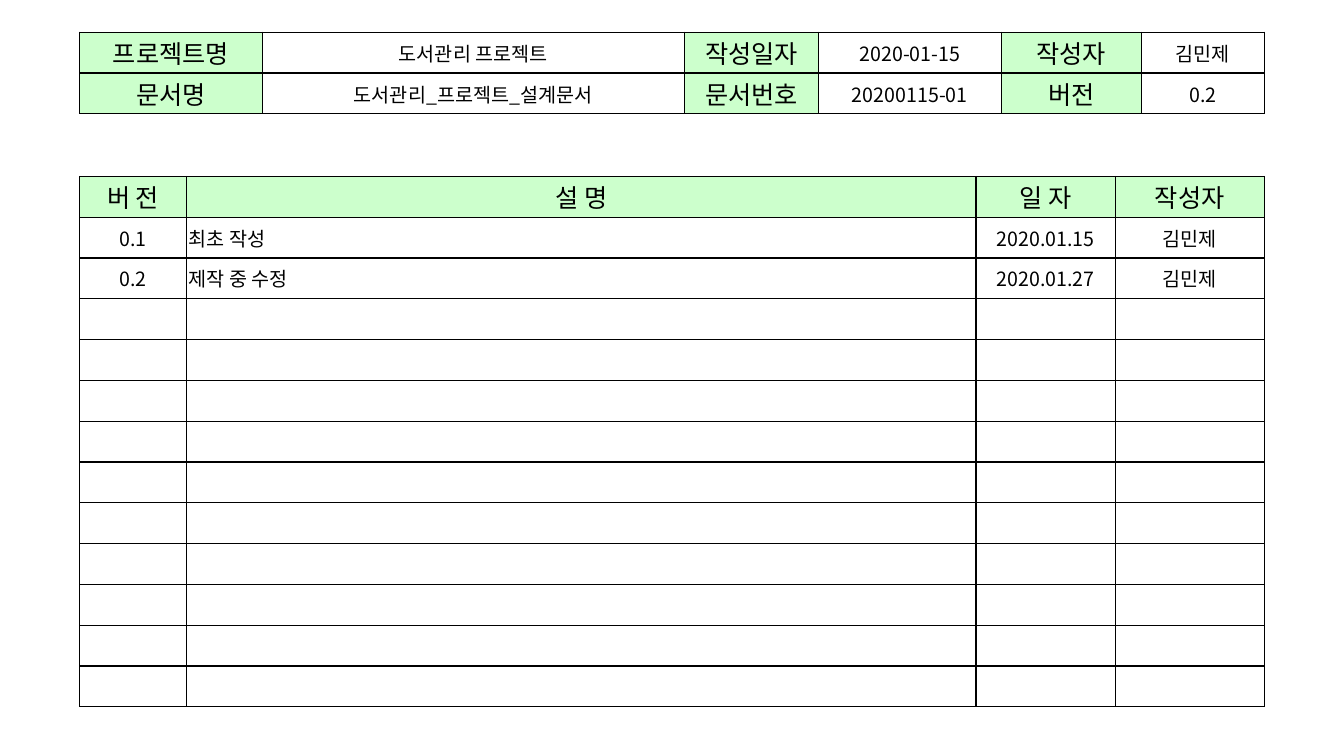
from lxml.etree import SubElement
from pptx import Presentation
from pptx.dml.color import RGBColor
from pptx.enum.text import MSO_ANCHOR, PP_ALIGN
from pptx.oxml import parse_xml
from pptx.oxml.ns import nsdecls, qn
from pptx.util import Inches, Pt

COLORS = {"label": "CCFFCC", "value": "FFFFFF", "ink": "000000"}
FONT = "Noto Sans CJK KR"
LEFT = 0.79
ROW_HEIGHT = 0.405


def style_cell(cell, text, is_label, align):
    cell.fill.solid()
    cell.fill.fore_color.rgb = RGBColor.from_string(COLORS["label" if is_label else "value"])
    cell.vertical_anchor = MSO_ANCHOR.MIDDLE
    cell.margin_left = cell.margin_right = Inches(0.02)
    cell.margin_top = cell.margin_bottom = 0

    cell.text = text
    paragraph = cell.text_frame.paragraphs[0]
    paragraph.alignment = align
    font = paragraph.font
    font.name, font.size = FONT, Pt(18 if is_label else 14)
    font.color.rgb = RGBColor.from_string(COLORS["ink"])
    # Hangul takes the East Asian typeface
    SubElement(paragraph._p.pPr.find(qn("a:defRPr")), qn("a:ea"), typeface=FONT)

    # Borders come before the fill in the cell properties
    for index, side in enumerate(("lnL", "lnR", "lnT", "lnB")):
        border = parse_xml(
            f'<a:{side} {nsdecls("a")} w="{Pt(1)}"><a:solidFill>'
            f'<a:srgbClr val="{COLORS["ink"]}"/></a:solidFill></a:{side}>')
        cell._tc.tcPr.insert(index, border)


def add_grid(slide, top, widths, rows, is_label, left_column=None):
    frame = slide.shapes.add_table(
        len(rows), len(widths), Inches(LEFT), Inches(top),
        Inches(sum(widths)), Inches(ROW_HEIGHT * len(rows)))
    table = frame.table
    table.first_row = table.horz_banding = False
    for column, width in zip(table.columns, widths):
        column.width = Inches(width)
    for r, row in enumerate(rows):
        table.rows[r].height = Inches(ROW_HEIGHT)
        for c, text in enumerate(row):
            label = is_label(r, c)
            align = PP_ALIGN.LEFT if c == left_column and not label else PP_ALIGN.CENTER
            style_cell(table.cell(r, c), text, label, align)


prs = Presentation()
prs.slide_width, prs.slide_height = Inches(13.33), Inches(7.5)
slide = prs.slides.add_slide(prs.slide_layouts[6])

# Document information: labels in every other column
document_info = [
    ["프로젝트명", "도서관리 프로젝트", "작성일자", "2020-01-15", "작성자", "김민제"],
    ["문서명", "도서관리_프로젝트_설계문서", "문서번호", "20200115-01", "버전", "0.2"],
]
add_grid(slide, 0.32, [1.81, 4.19, 1.33, 1.81, 1.39, 1.22], document_info,
         is_label=lambda r, c: c % 2 == 0)

# Revision history: a heading row, the entries and ten empty rows
revisions = [
    ["버 전", "설 명", "일 자", "작성자"],
    ["0.1", "최초 작성", "2020.01.15", "김민제"],
    ["0.2", "제작 중 수정", "2020.01.27", "김민제"],
] + [[""] * 4 for _ in range(10)]
add_grid(slide, 1.75, [1.06, 7.83, 1.38, 1.48], revisions,
         is_label=lambda r, c: r == 0, left_column=1)

prs.save("out.pptx")
